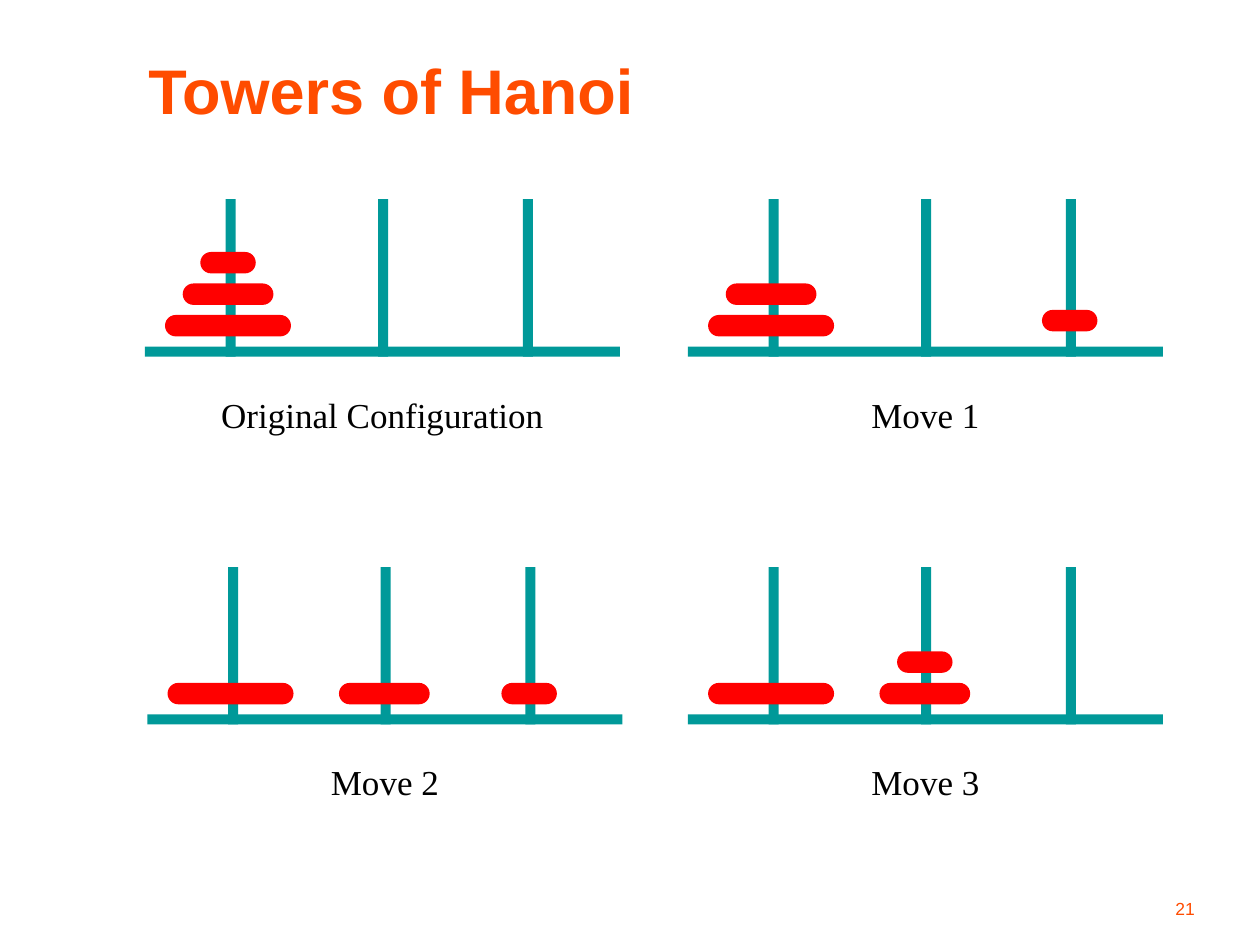
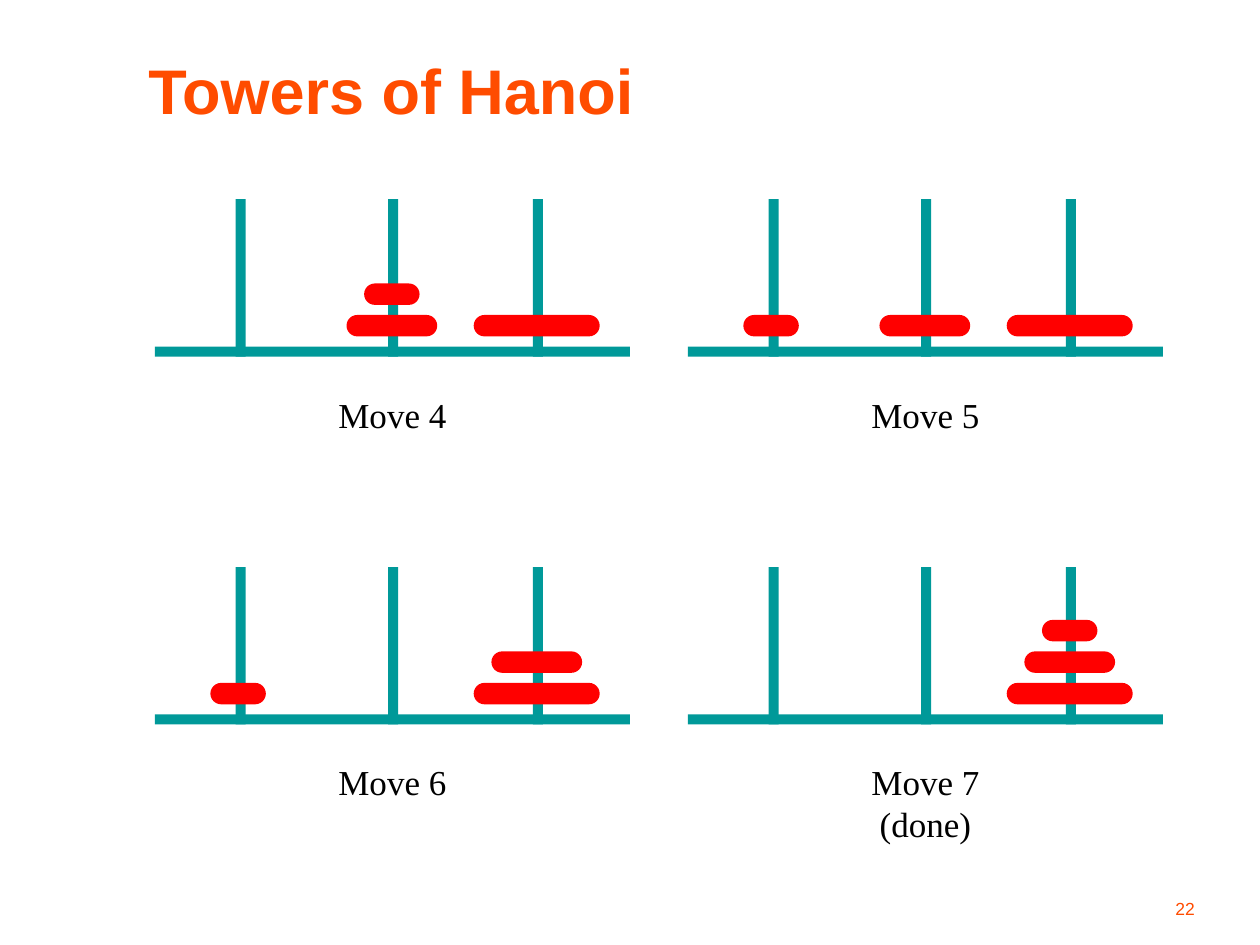
from dataclasses import dataclass
from typing import NamedTuple

from pptx import Presentation
from pptx.dml.color import RGBColor
from pptx.enum.shapes import MSO_SHAPE
from pptx.enum.text import MSO_ANCHOR, MSO_AUTO_SIZE, PP_ALIGN
from pptx.shapes.autoshape import Shape
from pptx.shapes.group import GroupShape
from pptx.slide import Slide
from pptx.util import Inches, Pt


# Theme
class TextStyle(NamedTuple):
    font: str
    size: int
    color: RGBColor
    align: PP_ALIGN
    anchor: MSO_ANCHOR
    bold: bool = False


@dataclass(frozen=True)
class Theme:
    stand: RGBColor = RGBColor(0x00, 0x99, 0x99)
    disk: RGBColor = RGBColor(0xFF, 0x00, 0x00)
    accent: RGBColor = RGBColor(0xFF, 0x4C, 0x00)
    title: TextStyle = TextStyle("Arial", 36, accent, PP_ALIGN.LEFT, MSO_ANCHOR.MIDDLE, True)
    label: TextStyle = TextStyle("Times New Roman", 20, RGBColor(0, 0, 0), PP_ALIGN.CENTER, MSO_ANCHOR.TOP)
    number: TextStyle = TextStyle("Arial", 10, accent, PP_ALIGN.RIGHT, MSO_ANCHOR.BOTTOM)


THEME = Theme()


class Area(NamedTuple):
    left: float
    top: float
    width: float
    height: float

    def lengths(self) -> list[Inches]:
        return [Inches(value) for value in self]


# Puzzle geometry in inches; horizontal offsets start at the base's left end
TITLE_AREA = Area(1.08, 0.33, 8.67, 0.75)
NUMBER_AREA = Area(7.5, 6.92, 2.08, 0.42)
ROW_TOPS = (1.58, 4.5)
RIGHT_COLUMN = 5.46
BASE_WIDTH = 3.77
BAR = 0.08
PEG_HEIGHT = 1.25
PEG_OFFSETS = (0.64, 1.85, 3.0)
DISK_CENTERS = (0.66, 1.88, 3.03)
DISK_HEIGHT = 0.17
DISK_STEP = 0.25
LOWEST_DISK = 0.92
LABEL_DROP = 1.49
LABEL_HEIGHT = 0.44


class Disk(NamedTuple):
    width: float
    lift: float = 0


LARGE, MEDIUM, SMALL = Disk(1.0), Disk(0.72), Disk(0.44)
LIFTED_SMALL = SMALL._replace(lift=0.04)


@dataclass(frozen=True)
class Panel:
    label: str
    left: float
    pegs: tuple[tuple[Disk, ...], ...]  # disks on each peg, from the bottom up
    label_width: float = 1.06


# Panels of each page, in reading order
PAGES: dict[int, list[Panel]] = {
    21: [
        Panel("Original Configuration", 1.15, ((LARGE, MEDIUM, SMALL), (), ()), 2.76),
        Panel("Move 1", RIGHT_COLUMN, ((LARGE, MEDIUM), (), (LIFTED_SMALL,))),
        Panel("Move 2", 1.17, ((LARGE,), (MEDIUM,), (SMALL,))),
        Panel("Move 3", RIGHT_COLUMN, ((LARGE,), (MEDIUM, SMALL), ())),
    ],
    22: [
        Panel("Move 4", 1.23, ((), (MEDIUM, SMALL), (LARGE,))),
        Panel("Move 5", RIGHT_COLUMN, ((SMALL,), (MEDIUM,), (LARGE,))),
        Panel("Move 6", 1.23, ((SMALL,), (), (LARGE, MEDIUM))),
        Panel("Move 7 (done)", RIGHT_COLUMN, ((), (), (LARGE, MEDIUM, SMALL)), 1.85),
    ],
}


def add_text(parent: Slide | GroupShape, area: Area, text: str, style: TextStyle) -> Shape:
    shapes = parent.shapes
    box = shapes.add_textbox(*area.lengths())
    frame = box.text_frame
    frame.text = text
    frame.word_wrap = True
    frame.vertical_anchor = style.anchor
    para = frame.paragraphs[0]
    para.alignment = style.align
    font = para.runs[0].font
    font.name, font.size, font.bold = style.font, Pt(style.size), style.bold
    font.color.rgb = style.color
    return box


def add_bar(group: GroupShape, kind: MSO_SHAPE, area: Area, color: RGBColor) -> Shape:
    bar = group.shapes.add_shape(kind, *area.lengths())
    bar.shadow.inherit = False
    bar.fill.solid()
    bar.fill.fore_color.rgb = color
    bar.line.fill.background()
    return bar


def add_panel(page: Slide, panel: Panel, top: float) -> None:
    group = page.shapes.add_group_shape()

    # Stand
    base = Area(panel.left, top + PEG_HEIGHT - BAR, BASE_WIDTH, BAR)
    add_bar(group, MSO_SHAPE.RECTANGLE, base, THEME.stand)
    for offset in PEG_OFFSETS:
        peg = Area(panel.left + offset, top, BAR, PEG_HEIGHT)
        add_bar(group, MSO_SHAPE.RECTANGLE, peg, THEME.stand)

    # Disks
    for center, stack in zip(DISK_CENTERS, panel.pegs):
        for level, disk in enumerate(stack):
            left = panel.left + center - disk.width / 2
            disk_top = top + LOWEST_DISK - level * DISK_STEP - disk.lift
            area = Area(left, disk_top, disk.width, DISK_HEIGHT)
            shape = add_bar(group, MSO_SHAPE.ROUNDED_RECTANGLE, area, THEME.disk)
            shape.adjustments[0] = 0.5

    # Label centred under the stand
    label_left = panel.left + (BASE_WIDTH - panel.label_width) / 2
    area = Area(label_left, top + LABEL_DROP, panel.label_width, LABEL_HEIGHT)
    label = add_text(group, area, panel.label, THEME.label)
    label.text_frame.word_wrap = False
    label.text_frame.auto_size = MSO_AUTO_SIZE.SHAPE_TO_FIT_TEXT


def main() -> None:
    deck = Presentation()
    deck.slide_width, deck.slide_height = Inches(10), Inches(7.5)
    for number, panels in PAGES.items():
        page = deck.slides.add_slide(deck.slide_layouts[6])
        add_text(page, TITLE_AREA, "Towers of Hanoi", THEME.title)
        for index, panel in enumerate(panels):
            add_panel(page, panel, ROW_TOPS[index // 2])
        add_text(page, NUMBER_AREA, str(number), THEME.number)
    deck.save("out.pptx")


if __name__ == "__main__":
    main()
